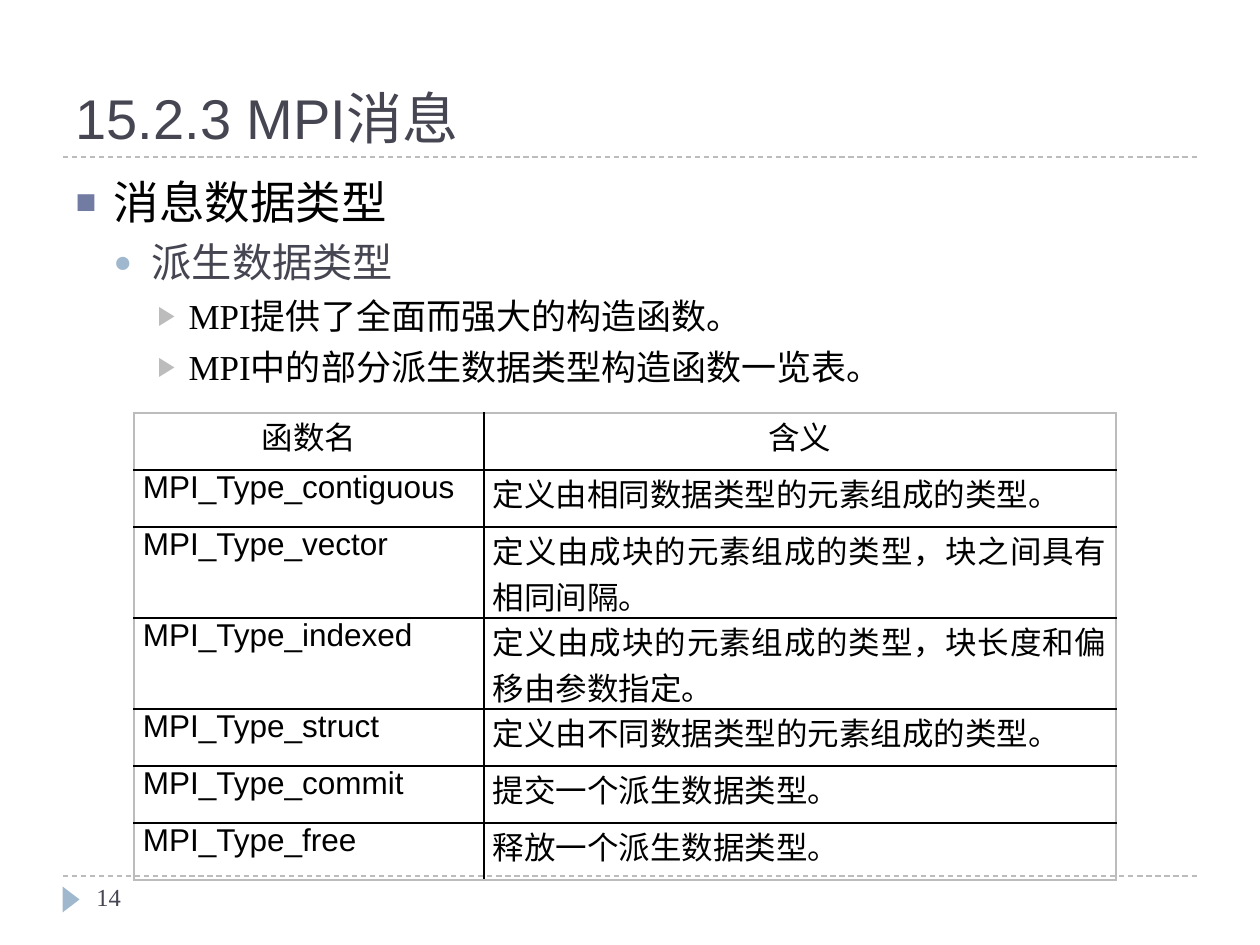
from lxml.etree import SubElement
from pptx import Presentation
from pptx.dml.color import RGBColor
from pptx.enum.dml import MSO_LINE
from pptx.enum.shapes import MSO_CONNECTOR, MSO_SHAPE
from pptx.enum.text import MSO_ANCHOR, MSO_AUTO_SIZE, PP_ALIGN
from pptx.oxml.ns import qn
from pptx.util import Emu, Pt

COLORS = {"ink": "464653", "black": "000000", "square": "727CA3",
          "accent": "9FB8CD", "gray": "BCBCBC"}
SANS, SERIF = "Arial", "Times New Roman"
PX = 914400 / 126

TITLE = "15.2.3 MPI消息"
OUTLINE = [
    (0, "消息数据类型"),
    (1, "派生数据类型"),
    (2, "MPI提供了全面而强大的构造函数。"),
    (2, "MPI中的部分派生数据类型构造函数一览表。"),
]
LEVELS = [
    {"size": 26, "color": "black", "bullet": "■", "bullet_color": "square", "left": 38, "hang": 38, "before": 6},
    {"size": 23, "color": "ink", "bullet": "●", "bullet_color": "accent", "left": 76, "hang": 38, "before": 5},
    {"size": 20, "color": "black", "bullet": "▶", "bullet_color": "gray", "left": 113, "hang": 31, "before": 5},
]
FUNCTIONS = [
    ("函数名", "含义"),
    ("MPI_Type_contiguous", "定义由相同数据类型的元素组成的类型。"),
    ("MPI_Type_vector", "定义由成块的元素组成的类型，块之间具有相同间隔。"),
    ("MPI_Type_indexed", "定义由成块的元素组成的类型，块长度和偏移由参数指定。"),
    ("MPI_Type_struct", "定义由不同数据类型的元素组成的类型。"),
    ("MPI_Type_commit", "提交一个派生数据类型。"),
    ("MPI_Type_free", "释放一个派生数据类型。"),
]
COLUMN_WIDTHS = [350, 632]
ROW_HEIGHTS = [57, 57, 91, 91, 57, 57, 57]
PAGE = "14"


def px(n):
    return Emu(round(n * PX))


def rgb(name):
    return RGBColor.from_string(COLORS[name])


def place(shape, left, top, width, height):
    shape.left, shape.top, shape.width, shape.height = map(px, (left, top, width, height))


def write(paragraph, text, font, size, color):
    run = paragraph.add_run()
    run.text = text
    run.font.name, run.font.size = font, Pt(size)
    run.font.color.rgb = rgb(color)


def set_bullet(paragraph, level):
    props = paragraph._p.get_or_add_pPr()
    props.set("marL", str(px(level["left"])))
    props.set("indent", str(-px(level["hang"])))
    color = SubElement(props, qn("a:buClr"))
    SubElement(color, qn("a:srgbClr"), val=COLORS[level["bullet_color"]])
    SubElement(props, qn("a:buSzPct"), val="76000")
    SubElement(props, qn("a:buFont"), typeface=SANS)
    SubElement(props, qn("a:buChar"), char=level["bullet"])


def set_borders(cell, sides):
    props = cell._tc.get_or_add_tcPr()
    for position, (tag, color) in enumerate(sides.items()):
        line = SubElement(props, qn(f"a:{tag}"), w=str(Pt(1)))
        fill = SubElement(line, qn("a:solidFill"))
        SubElement(fill, qn("a:srgbClr"), val=COLORS[color])
        props.insert(position, line)


def add_rule(slide, y):
    rule = slide.shapes.add_connector(MSO_CONNECTOR.STRAIGHT, px(63), px(y), px(1197), px(y))
    rule.line.color.rgb = rgb("gray")
    rule.line.width = Pt(0.75)
    rule.line.dash_style = MSO_LINE.DASH
    SubElement(rule._element.spPr, qn("a:effectLst"))


def add_outline(body):
    place(body, 63, 168, 1134, 680)
    frame = body.text_frame
    frame.auto_size = MSO_AUTO_SIZE.NONE
    for i, (depth, text) in enumerate(OUTLINE):
        paragraph = frame.add_paragraph() if i else frame.paragraphs[0]
        level = LEVELS[depth]
        paragraph.level = depth
        paragraph.space_before = Pt(level["before"])
        set_bullet(paragraph, level)
        write(paragraph, text, SERIF, level["size"], level["color"])


def add_functions(slide):
    last_row, last_col = len(FUNCTIONS) - 1, len(COLUMN_WIDTHS) - 1
    table = slide.shapes.add_table(
        last_row + 1, last_col + 1, px(134), px(413),
        px(sum(COLUMN_WIDTHS)), px(sum(ROW_HEIGHTS))).table
    table.first_row = table.horz_banding = False
    for column, width in zip(table.columns, COLUMN_WIDTHS):
        column.width = px(width)
    for r, texts in enumerate(FUNCTIONS):
        table.rows[r].height = px(ROW_HEIGHTS[r])
        for c, text in enumerate(texts):
            cell = table.cell(r, c)
            cell.margin_left = cell.margin_right = px(9)
            cell.margin_top = cell.margin_bottom = 0
            cell.fill.background()
            set_borders(cell, {
                "lnL": "gray" if c == 0 else "black",
                "lnR": "gray" if c == last_col else "black",
                "lnT": "gray" if r == 0 else "black",
                "lnB": "gray" if r == last_row else "black",
            })
            paragraph = cell.text_frame.paragraphs[0]
            paragraph.alignment = PP_ALIGN.JUSTIFY if r else PP_ALIGN.CENTER
            write(paragraph, text, SANS, 18, "black")


def add_footer(slide):
    marker = slide.shapes.add_shape(MSO_SHAPE.ISOSCELES_TRIANGLE, px(58), px(891), px(26), px(17))
    marker.rotation = 90
    marker.shadow.inherit = False
    marker.fill.solid()
    marker.fill.fore_color.rgb = rgb("accent")
    marker.line.fill.background()
    number = slide.shapes.add_textbox(px(84), px(876), px(273), px(50)).text_frame
    number.word_wrap = True
    write(number.paragraphs[0], PAGE, SERIF, 14, "ink")


def main():
    deck = Presentation()
    deck.slide_width, deck.slide_height = px(1260), px(945)
    slide = deck.slides.add_slide(deck.slide_layouts[1])
    title, body = slide.placeholders
    place(title, 63, 21, 1134, 136)
    title.text_frame.auto_size = MSO_AUTO_SIZE.NONE
    title.text_frame.vertical_anchor = MSO_ANCHOR.BOTTOM
    heading = title.text_frame.paragraphs[0]
    heading.alignment = PP_ALIGN.LEFT
    write(heading, TITLE, SANS, 32, "ink")
    add_outline(body)
    for y in (157, 876):
        add_rule(slide, y)
    add_footer(slide)
    add_functions(slide)
    deck.save("out.pptx")


if __name__ == "__main__":
    main()
